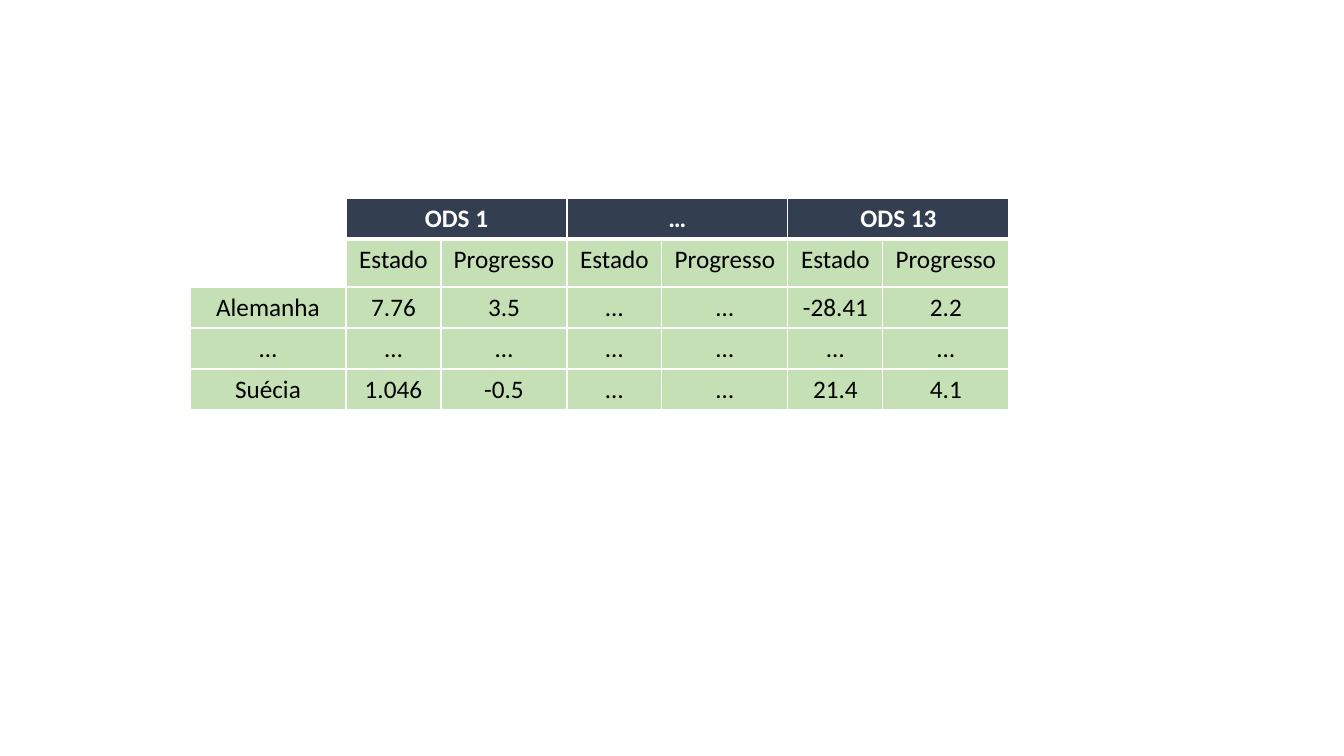
from lxml import etree
from pptx import Presentation
from pptx import util as u
from pptx.dml.color import RGBColor
from pptx.enum import text
from pptx.oxml.ns import qn

GOALS = ["ODS 1", "…", "ODS 13"]
MEASURES = ["Estado", "Progresso"]
COUNTRIES = [
    ["Alemanha", "7.76", "3.5", "…", "…", "-28.41", "2.2"],
    ["…"] * 7,
    ["Suécia", "1.046", "-0.5", "…", "…", "21.4", "4.1"],
]
COLORS = {"header": "333F50", "body": "C5E0B4", "white": "FFFFFF", "black": "000000"}

PX = 914400 / 100.8
LEFT, TOP = 190, 198
COL_WIDTHS = [156] + [95, 126] * len(GOALS)
ROW_HEIGHTS = [41, 48] + [41] * len(COUNTRIES)


def px(n):
    return u.Emu(round(n * PX))


def set_borders(cell, row):
    tc_pr = cell._tc.get_or_add_tcPr()
    for i, side in enumerate("LRTB"):
        thick = (row, side) in ((0, "B"), (1, "T"))
        ln = etree.Element(qn(f"a:ln{side}"), w=str(u.Pt(3 if thick else 1)))
        fill = etree.SubElement(ln, qn("a:solidFill"))
        etree.SubElement(fill, qn("a:srgbClr"), val=COLORS["white"])
        tc_pr.insert(i, ln)


def style_cell(cell, row, col, value):
    header = row == 0
    corner = row < 2 and col == 0
    fill = "white" if corner else "header" if header else "body"
    cell.fill.solid()
    cell.fill.fore_color.rgb = RGBColor.from_string(COLORS[fill])
    set_borders(cell, row)
    cell.text = value
    p = cell.text_frame.paragraphs[0]
    p.alignment = text.PP_ALIGN.CENTER
    p.font.name = "Calibri"
    p.font.size = u.Pt(18)
    p.font.bold = header
    p.font.color.rgb = RGBColor.from_string(COLORS["white" if header else "black"])


def main():
    prs = Presentation()
    prs.slide_width, prs.slide_height = px(1344), px(756)
    s = prs.slides.add_slide(prs.slide_layouts[6])

    goal_row = [""] + [label for goal in GOALS for label in (goal, "")]
    rows = [goal_row, [""] + MEASURES * len(GOALS)] + COUNTRIES
    table = s.shapes.add_table(
        len(rows), len(COL_WIDTHS), px(LEFT), px(TOP),
        px(sum(COL_WIDTHS)), px(sum(ROW_HEIGHTS)),
    ).table
    for col, width in zip(table.columns, COL_WIDTHS):
        col.width = px(width)
    for row, height in zip(table.rows, ROW_HEIGHTS):
        row.height = px(height)
    for i, values in enumerate(rows):
        for j, value in enumerate(values):
            style_cell(table.cell(i, j), i, j, value)
    for j in range(1, len(COL_WIDTHS), len(MEASURES)):
        table.cell(0, j).merge(table.cell(0, j + 1))

    prs.save("out.pptx")


if __name__ == "__main__":
    main()
